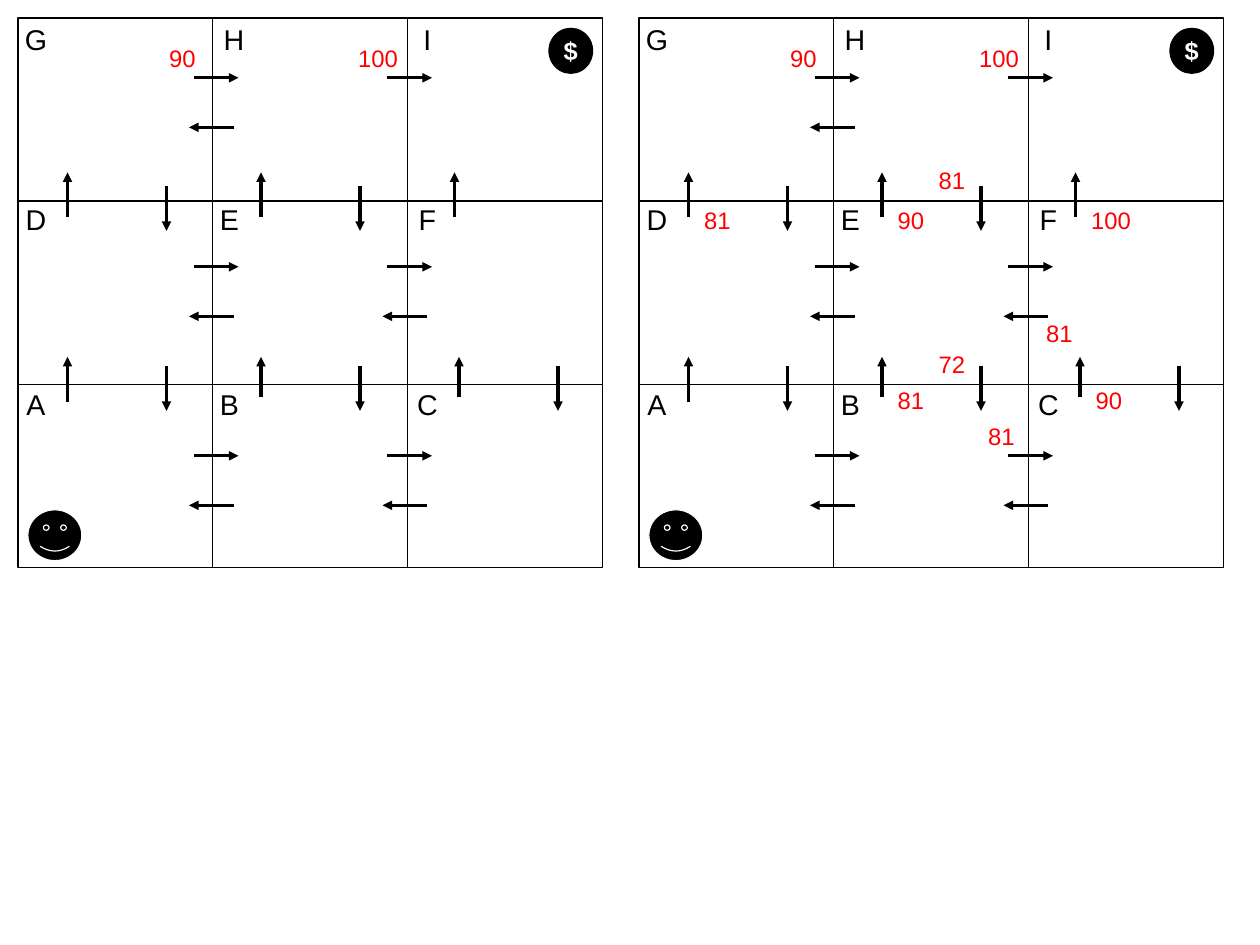
from lxml import etree
from pptx import Presentation
from pptx.dml.color import RGBColor
from pptx.enum.shapes import MSO_CONNECTOR, MSO_SHAPE
from pptx.enum.text import MSO_ANCHOR, PP_ALIGN
from pptx.oxml.ns import qn
from pptx.util import Cm, Pt

RECTANGLE, OVAL, SMILEY = MSO_SHAPE.RECTANGLE, MSO_SHAPE.OVAL, MSO_SHAPE.SMILEY_FACE
STRAIGHT = MSO_CONNECTOR.STRAIGHT
LEFT, CENTER, RIGHT = PP_ALIGN.LEFT, PP_ALIGN.CENTER, PP_ALIGN.RIGHT
MIDDLE = MSO_ANCHOR.MIDDLE
BLACK, WHITE, RED = "000000", "FFFFFF", "FF0000"
colour = RGBColor.from_string

deck = Presentation()
deck.slide_width, deck.slide_height = Cm(28), Cm(21)
page = deck.slides.add_slide(deck.slide_layouts[6])


def add_box(kind, left, top, width, height, fill, line):
    box = page.shapes.add_shape(kind, Cm(left), Cm(top), Cm(width), Cm(height))
    box.shadow.inherit = False
    box.fill.solid()
    box.fill.fore_color.rgb = colour(fill)
    box.line.color.rgb = colour(line)
    box.line.width = Pt(0)
    return box


def write(box, text, size, text_colour, align=CENTER, bold=False):
    frame = box.text_frame
    frame.word_wrap = False
    frame.vertical_anchor = MIDDLE
    frame.text = text
    para = frame.paragraphs[0]
    para.alignment = align
    font = para.runs[0].font
    font.name, font.size, font.bold = "Arial", Pt(size), bold
    font.color.rgb = colour(text_colour)


CELL_WIDTH, CELL_HEIGHT, MARGIN = 4.33, 4.07, 0.4
BOARD_STEP = 13.8
ROOM_ROWS = ["GHI", "DEF", "ABC"]
LABEL_LEFTS = [0.5, 4.8, 9.2]
LABEL_TOPS = [0.53, 4.52, 8.64]

arrows = []
for x, x_low, low_start in [(1.5, 1.5, 8.93), (5.8, 5.8, 8.83), (10.1, 10.2, 8.83)]:
    arrows.append((x, 4.83, x, 3.83))
    arrows.append((x_low, low_start, x_low, 7.93))
for x, y in [(3.7, 4.13), (8, 4.13), (3.7, 8.13), (8, 8.13), (12.4, 8.13)]:
    arrows.append((x, y, x, y + 1))
for row in range(3):
    for column in range(2):
        x, y = 4.3 + 4.3 * column, 1.73 + 4.2 * row
        arrows.append((x, y, x + 1, y))
        if (row, column) != (0, 1):
            arrows.append((x + 0.9, y + 1.1, x - 0.1, y + 1.1))

reward_values = [("100", 7.8, 1, 1.2, CENTER), ("90", 3.4, 1, 1.2, RIGHT)]
learned_values = [
    ("90", 10.3, 8.6, 1.2, LEFT),
    ("100", 10.2, 4.6, 1.2, LEFT),
    ("81", 7.8, 9.4, 1.2, RIGHT),
    ("81", 1.6, 4.6, 1.2, LEFT),
    ("81", 5.9, 8.6, 1.2, LEFT),
    ("90", 5.9, 4.6, 1.2, LEFT),
    ("72", 6.7, 7.8, 1.2, RIGHT),
    ("81", 9.2, 7.1, 1.2, LEFT),
    ("81", 7.1, 3.7, 0.8, RIGHT),
]

for board, values in enumerate([reward_values, reward_values + learned_values]):
    origin = BOARD_STEP * board
    for row in range(3):
        for column in range(3):
            add_box(RECTANGLE, origin + MARGIN + column * CELL_WIDTH, MARGIN + row * CELL_HEIGHT,
                    CELL_WIDTH, CELL_HEIGHT, WHITE, BLACK)

    coin = add_box(OVAL, origin + 12.2, 0.63, 0.97, 1, BLACK, BLACK)
    write(coin, "$", 16, WHITE, bold=True)
    smiley = add_box(SMILEY, origin + 0.62, 11.33, 1.2, 1.13, BLACK, WHITE)
    smiley.adjustments[0] = 0.093

    for x1, y1, x2, y2 in arrows:
        arrow = page.shapes.add_connector(STRAIGHT, Cm(origin + x1), Cm(y1), Cm(origin + x2), Cm(y2))
        arrow.line.color.rgb = colour(BLACK)
        arrow.line.width = Pt(0)
        etree.SubElement(arrow.line._get_or_add_ln(), qn("a:tailEnd"), type="triangle")
        etree.SubElement(arrow._element.spPr, qn("a:effectLst"))

    for row, rooms in enumerate(ROOM_ROWS):
        for column, room in enumerate(rooms):
            nudge = 0.1 if room == "H" else 0
            label = add_box(RECTANGLE, origin + LABEL_LEFTS[column] + nudge, LABEL_TOPS[row],
                            0.6, 0.7, WHITE, WHITE)
            write(label, room, 18, BLACK)

    for text, left, top, width, align in values:
        value = add_box(RECTANGLE, origin + left, top, width, 0.6, WHITE, WHITE)
        write(value, text, 15, RED, align)

deck.save("out.pptx")
